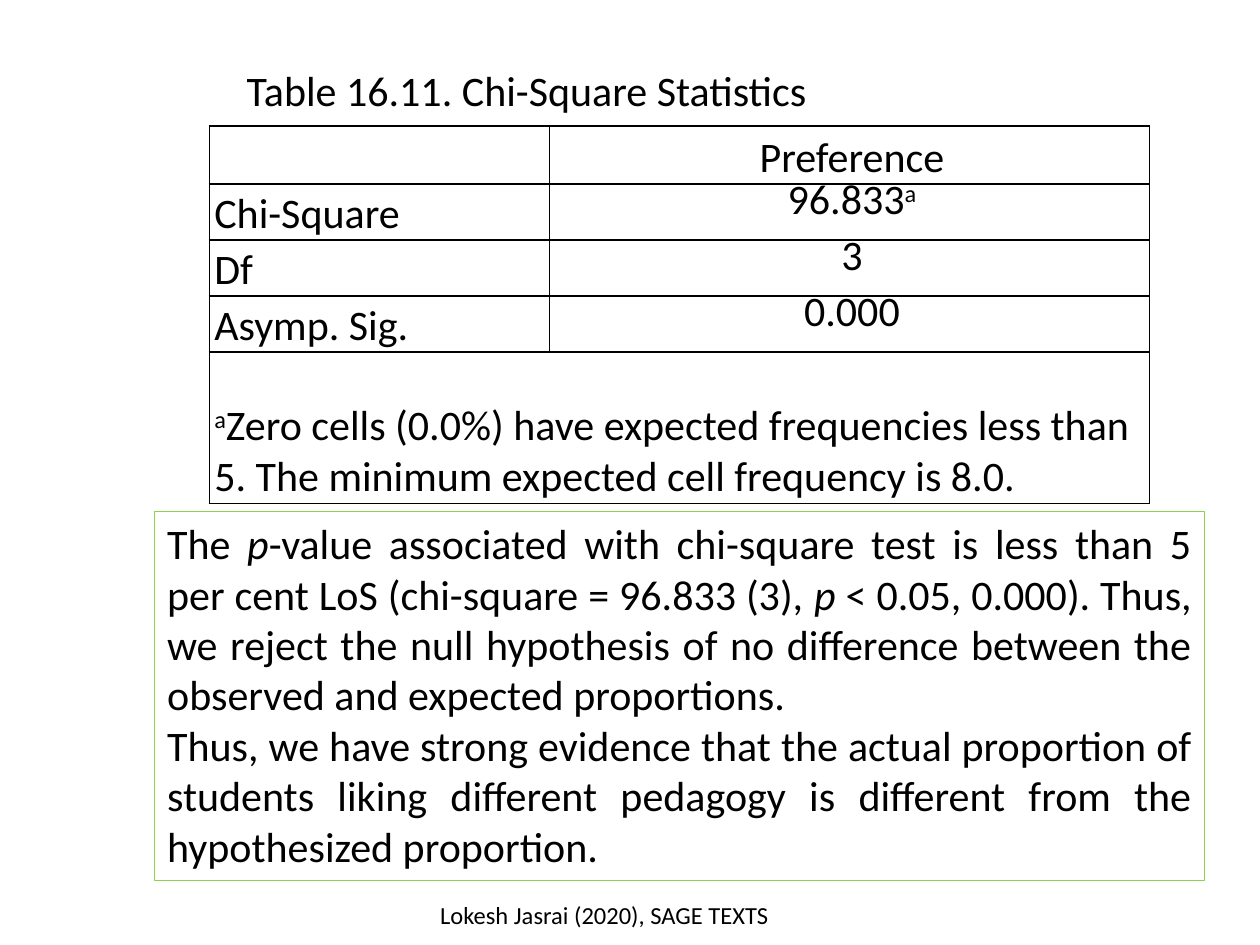
import pptx
import pptx.dml.color
import pptx.enum.shapes
import pptx.enum.text
import pptx.oxml
import pptx.oxml.ns
import pptx.util
from pptx.util import Cm

ALIGN = pptx.enum.text.PP_ALIGN
ANCHOR = pptx.enum.text.MSO_ANCHOR


def colour(hex_code):
    return pptx.dml.color.RGBColor.from_string(hex_code)


class StatisticsSlide:
    """Hold the style and the current slide, and add its elements."""

    font_name = "Calibri"
    ink = "000000"
    accent = "92D050"
    body_size = 24
    row_spacing = 16

    def __init__(self, deck):
        self.slide = deck.slides.add_slide(deck.slide_layouts[5])

    def fill_text(self, frame, paragraphs, align, size=body_size, spacing=None):
        frame.text = "\n".join("" for _ in paragraphs)
        for paragraph, parts in zip(frame.paragraphs, paragraphs):
            paragraph.alignment = align
            if spacing:
                paragraph.line_spacing = pptx.util.Pt(spacing)
            for words, style in parts:
                run = paragraph.add_run()
                run.text = words
                run.font.name = self.font_name
                run.font.size = pptx.util.Pt(size)
                run.font.color.rgb = colour(self.ink)
                if style == "italic":
                    run.font.italic = True
                elif style == "superscript":
                    run.font._element.set("baseline", "30000")

    def title(self, words, left, top, width, height):
        caption = self.slide.shapes.title
        caption.left, caption.top = Cm(left), Cm(top)
        caption.width, caption.height = Cm(width), Cm(height)
        frame = caption.text_frame
        frame.word_wrap = False
        frame.auto_size = pptx.enum.text.MSO_AUTO_SIZE.NONE
        frame.vertical_anchor = ANCHOR.MIDDLE
        self.fill_text(frame, [[(words, None)]], ALIGN.LEFT)

    def border(self, cell):
        properties = cell._tc.get_or_add_tcPr()
        for position, side in enumerate(("lnL", "lnR", "lnT", "lnB")):
            properties.insert(position, pptx.oxml.parse_xml(
                f'<a:{side} {pptx.oxml.ns.nsdecls("a")} w="12700"><a:solidFill>'
                f'<a:srgbClr val="{self.ink}"/></a:solidFill></a:{side}>'))

    def table(self, rows, footnote, left, top, widths, heights):
        grid = self.slide.shapes.add_table(
            len(heights), len(widths), Cm(left), Cm(top),
            Cm(sum(widths)), Cm(sum(heights))).table
        grid.first_row = grid.horz_banding = False
        for column, width in zip(grid.columns, widths):
            column.width = Cm(width)
        for row, height in zip(grid.rows, heights):
            row.height = Cm(height)
        for cell in grid.iter_cells():
            cell.fill.background()
            self.border(cell)
            cell.margin_left = Cm(0.1)
            cell.margin_right = cell.margin_top = cell.margin_bottom = 0
            cell.vertical_anchor = ANCHOR.BOTTOM
        for index, (label, value) in enumerate(rows):
            label_cell, value_cell = grid.cell(index, 0), grid.cell(index, 1)
            if label:
                self.fill_text(label_cell.text_frame, [[(label, None)]],
                               ALIGN.LEFT, spacing=self.row_spacing)
                value_cell.vertical_anchor = ANCHOR.MIDDLE
            self.fill_text(value_cell.text_frame, [value], ALIGN.CENTER,
                           spacing=self.row_spacing)
        note_cell = grid.cell(len(rows), 0)
        note_cell.merge(grid.cell(len(rows), len(widths) - 1))
        self.fill_text(note_cell.text_frame, [footnote], ALIGN.LEFT)

    def framed_text(self, paragraphs, left, top, width, height):
        panel = self.slide.shapes.add_shape(
            pptx.enum.shapes.MSO_SHAPE.RECTANGLE,
            Cm(left), Cm(top), Cm(width), Cm(height))
        panel.shadow.inherit = False
        panel.fill.background()
        panel.line.color.rgb = colour(self.accent)
        panel.line.width = pptx.util.Pt(0.75)
        panel.text_frame.word_wrap = True
        panel.text_frame.vertical_anchor = ANCHOR.TOP
        self.fill_text(panel.text_frame, paragraphs, ALIGN.JUSTIFY)

    def credit(self, words, left, top, width, height):
        line = self.slide.shapes.add_textbox(
            Cm(left), Cm(top), Cm(width), Cm(height))
        line.text_frame.word_wrap = True
        self.fill_text(line.text_frame, [[(words, None)]], ALIGN.CENTER, size=14)


def main():
    deck = pptx.Presentation()
    deck.slide_width, deck.slide_height = Cm(25.4), Cm(19.05)
    page = StatisticsSlide(deck)

    page.title("Table 16.11. Chi-Square Statistics", 4.72, 1.17, 12.09, 1.27)
    statistics = [
        ("", [("Preference", None)]),
        ("Chi-Square", [("96.833", None), ("a", "superscript")]),
        ("Df", [("3", None)]),
        ("Asymp. Sig.", [("0.000", None)]),
    ]
    footnote = [
        ("a", "superscript"),
        ("Zero cells (0.0%) have expected frequencies less than 5. "
         "The minimum expected cell frequency is 8.0.", None),
    ]
    page.table(statistics, footnote, 4.22, 2.54, [6.86, 12.09],
               [1.17] + [1.13] * 3 + [3.05])

    finding = [
        ("The ", None), ("p", "italic"),
        ("-value associated with chi-square test is less than 5 per cent LoS "
         "(chi-square = 96.833 (3), ", None),
        ("p ", "italic"),
        ("< 0.05, 0.000). Thus, we reject the null hypothesis of no difference "
         "between the observed and expected proportions.", None),
    ]
    conclusion = [
        ("Thus, we have strong evidence that the actual proportion of students "
         "liking different pedagogy is different from the hypothesized "
         "proportion.", None),
    ]
    page.framed_text([finding, conclusion], 3.12, 10.31, 21.16, 7.44)
    page.credit("Lokesh Jasrai (2020), SAGE TEXTS", 7.65, 18.01, 9.07, 1.02)
    deck.save("out.pptx")


if __name__ == "__main__":
    main()
